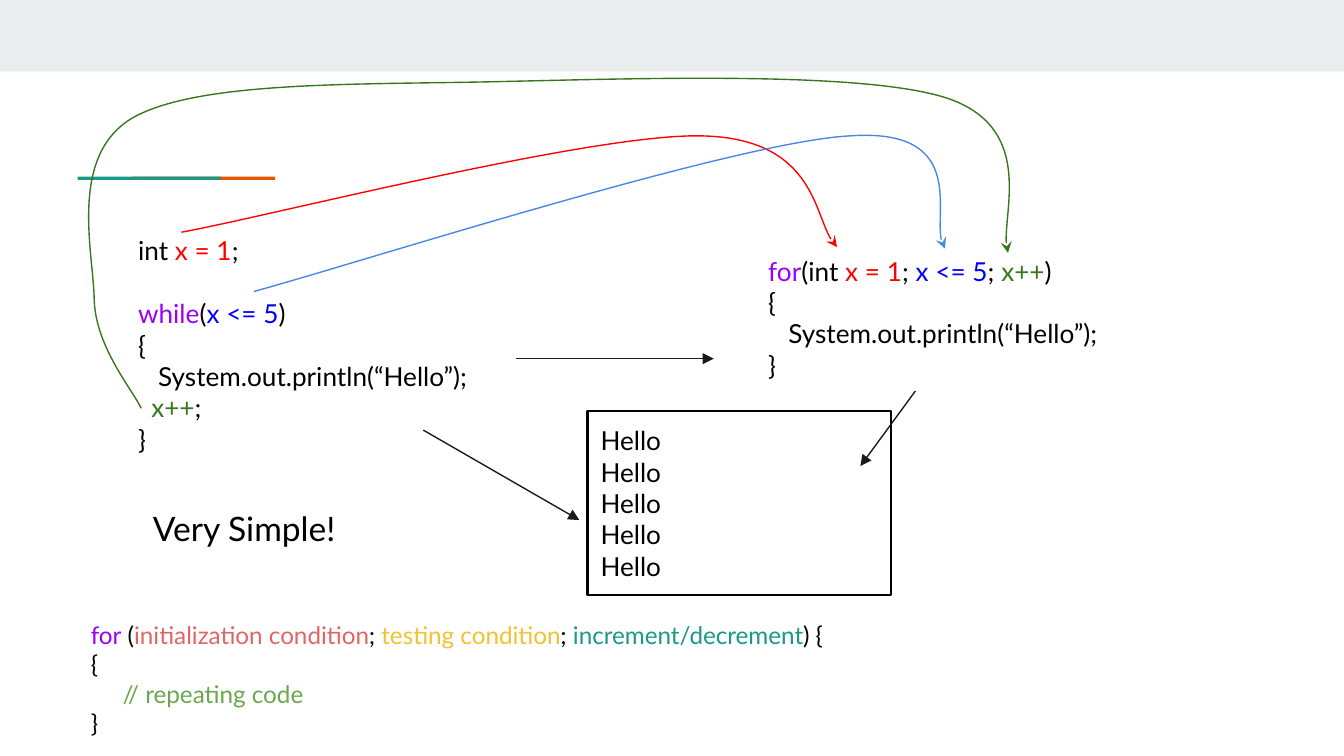
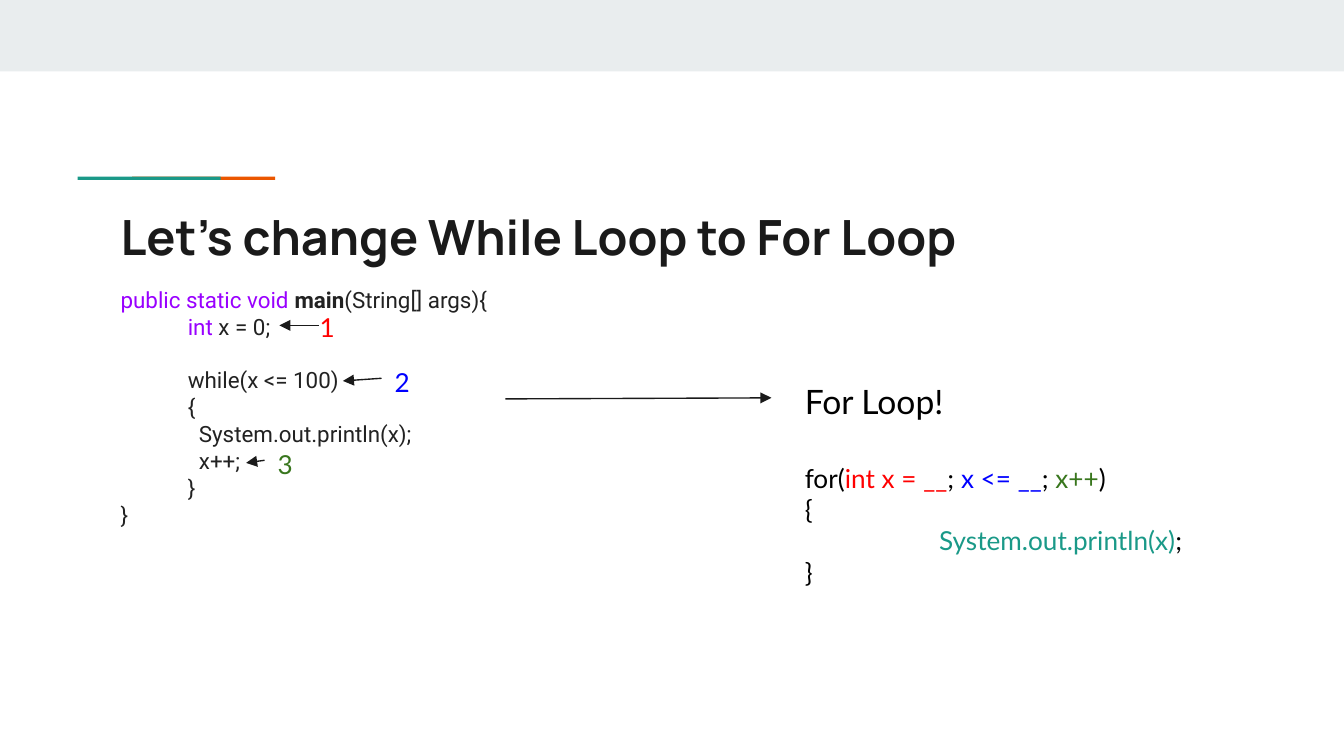
from dataclasses import dataclass

from lxml.etree import SubElement
from pptx import Presentation
from pptx.dml.color import RGBColor
from pptx.enum.shapes import MSO_CONNECTOR as CONN, MSO_SHAPE as SHAPE
from pptx.enum.text import MSO_ANCHOR as ANCHOR, PP_ALIGN as ALIGN
from pptx.oxml.ns import qn
from pptx.util import Cm, Pt

BLACK = RGBColor(0x00, 0x00, 0x00)
INK = RGBColor(0x1A, 0x1A, 0x1A)
CODE = RGBColor(0x22, 0x22, 0x22)
BAND = RGBColor(0xE9, 0xED, 0xEE)
ORANGE = RGBColor(0xEB, 0x56, 0x00)
TEAL = RGBColor(0x1A, 0x99, 0x88)
PURPLE = RGBColor(0x99, 0x00, 0xFF)
RED = RGBColor(0xFF, 0x00, 0x00)
BLUE = RGBColor(0x00, 0x00, 0xFF)
SKY = RGBColor(0x4A, 0x86, 0xE8)
GREEN = RGBColor(0x38, 0x76, 0x1D)
LEAF = RGBColor(0x6A, 0xA8, 0x4F)
ROSE = RGBColor(0xE0, 0x66, 0x66)
GOLD = RGBColor(0xF1, 0xC2, 0x32)


@dataclass
class Line:
    words: list
    indent: float = 0
    gap: float = 0
    size: float = 0


def plain(text, color=BLACK, **options):
    return Line([(text, color)], **options)


def write(sp, lines, size, font="Lato", bold=False):
    tf = sp.text_frame
    tf.word_wrap = True
    tf.margin_left = tf.margin_right = tf.margin_top = tf.margin_bottom = Cm(0.25)
    for i, line in enumerate(lines):
        p = tf.add_paragraph() if i else tf.paragraphs[0]
        p.alignment = ALIGN.LEFT
        p.space_before = Pt(line.gap)
        if line.indent:
            pPr = p._p.get_or_add_pPr()
            pPr.set("marL", str(Cm(line.indent)))
            pPr.set("indent", "0")
        for text, color, *strong in line.words:
            r = p.add_run()
            r.text = text
            r.font.name = font
            r.font.size = Pt(line.size or size)
            r.font.bold = bold or bool(strong)
            r.font.color.rgb = color


def add_text(slide, x, y, w, h, lines, size=14, **style):
    sp = slide.shapes.add_textbox(Cm(x), Cm(y), Cm(w), Cm(h))
    write(sp, lines, size, **style)
    return sp


def add_bar(slide, x, y, w, h, color):
    sp = slide.shapes.add_shape(SHAPE.RECTANGLE, Cm(x), Cm(y), Cm(w), Cm(h))
    sp.shadow.inherit = False
    sp.fill.solid()
    sp.fill.fore_color.rgb = color
    sp.line.fill.background()


def add_output(slide, x, y, w, h, lines):
    sp = slide.shapes.add_shape(SHAPE.RECTANGLE, Cm(x), Cm(y), Cm(w), Cm(h))
    sp.shadow.inherit = False
    sp.fill.background()
    sp.line.color.rgb = BLACK
    sp.line.width = Pt(1.5)
    write(sp, lines, 14)
    sp.text_frame.vertical_anchor = ANCHOR.MIDDLE


def style_arrow(sp, color, head):
    sp.line.color.rgb = color
    sp.line.width = Pt(0.75)
    ln = sp._element.spPr.find(qn("a:ln"))
    SubElement(ln, qn("a:tailEnd"), type=head)


def add_arrow(slide, start, end, source=None):
    points = [Cm(v) for v in (*start, *end)]
    line = slide.shapes.add_connector(CONN.STRAIGHT, *points)
    if source is not None:
        line.begin_connect(source, 1)
    style_arrow(line, INK, "triangle")
    SubElement(line._element.spPr, qn("a:effectLst"))


def add_curve(slide, color, points):
    start, *rest = [(Cm(x), Cm(y)) for x, y in points]
    builder = slide.shapes.build_freeform(*start)
    builder.add_line_segments(rest, close=False)
    sp = builder.convert_to_shape()
    sp.shadow.inherit = False
    sp.fill.background()
    style_arrow(sp, color, "stealth")
    outline = next(sp._element.iter(qn("a:path")))
    segments = outline.findall(qn("a:lnTo"))
    for i in range(0, len(segments), 3):
        bezier = SubElement(outline, qn("a:cubicBezTo"))
        for segment in segments[i:i + 3]:
            bezier.append(segment[0])
            outline.remove(segment)


def add_number(slide, number, color, x, y, w=0.89):
    return add_text(slide, x, y, w, 0.94, [plain(number, color)])


def new_slide(prs):
    slide = prs.slides.add_slide(prs.slide_layouts[6])
    add_bar(slide, 0, 0, 25.4, 1.35, BAND)
    add_bar(slide, 2.5, 3.34, 2.7, 0.06, ORANGE)
    add_bar(slide, 1.47, 3.34, 2.7, 0.06, TEAL)
    return slide


def comparison_slide(prs):
    slide = new_slide(prs)
    hello = "System.out.println(“Hello”);"
    add_text(slide, 2.36, 4.19, 7.47, 6.05, [
        Line([("int ", BLACK), ("x = 1", RED), (";", BLACK)]),
        Line([("while", PURPLE), ("(", BLACK), ("x <= 5", BLUE), (")", BLACK)], gap=16.8),
        plain("{"),
        plain(hello, indent=0.38),
        Line([("x++", GREEN), (";", BLACK)], indent=0.25),
        plain("}"),
    ])
    add_arrow(slide, (9.75, 6.78), (13.49, 6.78))
    add_text(slide, 14.27, 4.57, 7.47, 6.05, [
        Line([("for", PURPLE), ("(int ", BLACK), ("x = 1", RED), ("; ", BLACK),
              ("x <= 5", BLUE), ("; ", BLACK), ("x++", GREEN), (")", BLACK)]),
        plain("{"),
        plain(hello, indent=0.38),
        plain("}"),
    ])
    add_curve(slide, RED, [
        (3.43, 4.39), (5.08, 4.09), (11.23, 2.51), (13.28, 2.57),
        (15.34, 2.62), (15.42, 4.32), (15.82, 4.67)])
    add_curve(slide, SKY, [
        (4.8, 5.51), (6.68, 5), (13.87, 2.69), (16.05, 2.57),
        (18.24, 2.41), (17.55, 4.34), (17.86, 4.7)])
    add_curve(slide, GREEN, [
        (2.67, 7.72), (2.51, 7.37), (1.78, 6.53), (1.78, 5.61),
        (1.75, 4.7), (1.3, 2.9), (2.54, 2.21),
        (3.76, 1.55), (6.55, 1.6), (9.12, 1.55),
        (11.66, 1.5), (16.23, 1.32), (17.88, 1.85),
        (19.53, 2.39), (18.87, 4.29), (19.05, 4.78)])
    add_text(slide, 2.64, 9.35, 10.97, 1.65, [plain("Very Simple!")], size=18)
    add_output(slide, 11.1, 7.77, 5.74, 3.48, [plain("Hello")] * 5)
    add_arrow(slide, (8, 8.13), (10.95, 9.83))
    add_arrow(slide, (17.3, 7.39), (16.26, 8.81))
    add_text(slide, 1.47, 11.48, 16.08, 4.62, [
        Line([("for", PURPLE), (" (", BLACK), ("initialization condition", ROSE),
              ("; ", BLACK), ("testing condition", GOLD), ("; ", BLACK),
              ("increment/decrement", TEAL), (") {", BLACK)]),
        plain("{"),
        plain("// repeating code", LEAF, indent=0.6),
        plain("}"),
    ], size=13)


def conversion_slide(prs):
    slide = new_slide(prs)
    add_text(slide, 2.03, 3.66, 21.36, 1.5,
             [plain("Let’s change While Loop to For Loop", INK)],
             size=26, font="Manrope", bold=True)
    add_text(slide, 2.03, 5.16, 8.18, 5.08, [
        Line([("public static void ", PURPLE), ("main", CODE, True),
              ("(String[] args){", CODE)]),
        Line([("int ", PURPLE), ("x = 0;", CODE)], indent=1.27),
        plain("while(x <= 100)", CODE, indent=1.27, gap=14.2),
        plain("{", CODE, indent=1.27),
        plain("System.out.println(x);", CODE, indent=1.48),
        plain("x++;", CODE, indent=1.48),
        plain("}", CODE, indent=1.27),
        plain("}", CODE),
    ], size=12, font="Roboto")
    add_arrow(slide, (9.55, 7.54), (14.58, 7.52))
    add_text(slide, 14.96, 6.96, 7.72, 1.14, [
        plain("For Loop!", size=18),
        Line([("for(", BLACK), ("int x = __", RED), ("; ", BLACK),
              ("x <= __", BLUE), ("; ", BLACK), ("x++", GREEN), (")", BLACK)], gap=21.6),
        plain("{"),
        Line([("System.out.println(x)", TEAL), (";", BLACK)], indent=2.54),
        plain("}"),
    ])
    add_number(slide, "1", RED, 5.79, 5.64, 1.57)
    add_arrow(slide, (6.02, 6.15), (5.28, 6.15))
    second = add_number(slide, "2", BLUE, 7.21, 6.68)
    add_arrow(slide, (7.21, 7.15), (6.48, 7.2), second)
    third = add_number(slide, "3", GREEN, 5, 8.23)
    add_arrow(slide, (5, 8.7), (4.65, 8.75), third)


def main():
    prs = Presentation()
    prs.slide_width, prs.slide_height = Cm(25.4), Cm(14.29)
    comparison_slide(prs)
    conversion_slide(prs)
    prs.save("out.pptx")


if __name__ == "__main__":
    main()
